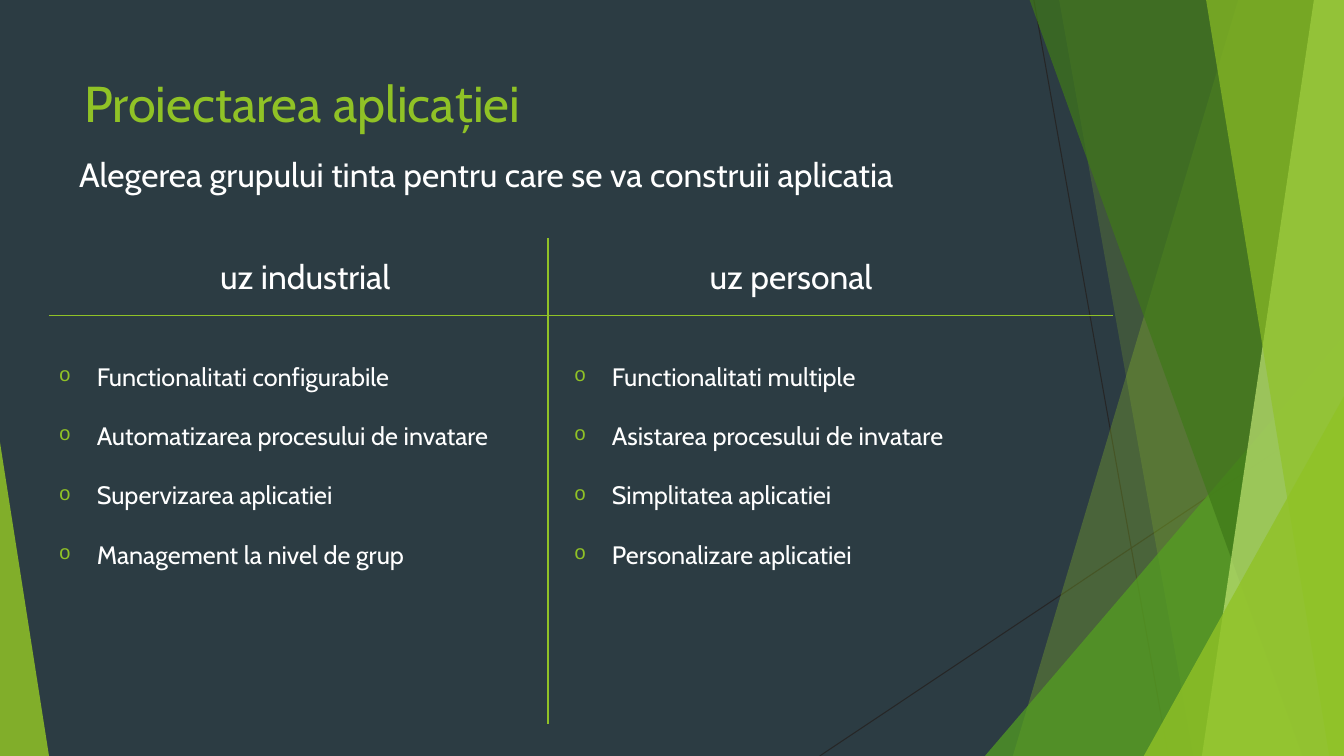
from dataclasses import dataclass

from lxml.etree import SubElement
from pptx import Presentation
from pptx.dml.color import RGBColor as RGB
from pptx.enum.shapes import MSO_CONNECTOR as Link, MSO_SHAPE as Form
from pptx.enum.text import MSO_ANCHOR as Anchor, PP_ALIGN as Align
from pptx.oxml.ns import qn
from pptx.util import Pt


@dataclass(frozen=True)
class Theme:
    back: str = "2C3C43"
    lime: str = "90C226"
    pale: str = "C0E474"
    leaf: str = "54A021"
    moss: str = "3F7819"
    ray: str = "262626"
    text: str = "FFFFFF"
    font: str = "Cabin"
    title: int = 36
    head: int = 24
    item: int = 18


T = Theme()
WIDE, HIGH = 960, 540


def tint(shape, color, alpha):
    """Fill a shape with a see-through colour, without line or shadow."""
    shape.shadow.inherit = False
    shape.line.fill.background()
    shape.fill.solid()
    shape.fill.fore_color.rgb = RGB.from_string(color)
    clr = shape._element.spPr.find(qn("a:solidFill"))[0]
    SubElement(clr, qn("a:alpha"), val=str(alpha * 1000))


def rule(slide, start, end, color, width):
    line = slide.shapes.add_connector(
        Link.STRAIGHT, *(Pt(v) for v in (*start, *end)))
    line.line.color.rgb = RGB.from_string(color)
    line.line.width = Pt(width)
    SubElement(line._element.spPr, qn("a:effectLst"))


def band(slide, box, top, foot, color, alpha):
    """Draw a band from a slanted left edge to the right side of the box."""
    x, y, w, h = box
    pen = slide.shapes.build_freeform(Pt(x + top), Pt(y), scale=1.0)
    pen.add_line_segments([(Pt(a), Pt(b)) for a, b in (
        (x + w, y), (x + w, y + h), (x + foot, y + h))])
    tint(pen.convert_to_shape(), color, alpha)


def wedge(slide, box, peak, color, alpha):
    """Draw a triangle with its tip at peak, from 0 (left) to 1 (right)."""
    shape = slide.shapes.add_shape(
        Form.ISOSCELES_TRIANGLE, *(Pt(v) for v in box))
    shape.adjustments[0] = peak
    tint(shape, color, alpha)


def facets(slide, box):
    x, y, w, h = box
    end = y + h
    rule(slide, (x + 35, y), (x + 131, end), T.ray, 0.75)
    rule(slide, (x + w, y + 290), (x - 118, end), T.ray, 0.75)
    band(slide, box, 181, 20, T.lime, 30)
    band(slide, box, 53, 149, T.lime, 20)
    wedge(slide, (x, y + 240, w, h - 240), 1, T.leaf, 72)
    band(slide, box, 32, 227, T.moss, 70)
    band(slide, box, 235, 155, T.pale, 70)
    band(slide, box, 158, 246, T.lime, 65)
    wedge(slide, (x + 113.5, y + 283, w - 113.5, h - 283), 1, T.lime, 80)


def bullet(para):
    props = para._p.get_or_add_pPr()
    props.set("marL", str(Pt(27)))
    props.set("indent", str(Pt(-27)))
    SubElement(SubElement(props, qn("a:buClr")), qn("a:srgbClr"), val=T.lime)
    SubElement(props, qn("a:buSzPct"), val="80000")
    SubElement(props, qn("a:buFont"), typeface="Courier New")
    SubElement(props, qn("a:buChar"), char="o")


def write(slide, box, lines, size, color=T.text, anchor=Anchor.TOP,
          align=Align.LEFT, before=0, listed=False):
    frame = slide.shapes.add_textbox(*(Pt(v) for v in box)).text_frame
    frame.word_wrap = True
    frame.vertical_anchor = anchor
    for i, line in enumerate(lines):
        para = frame.add_paragraph() if i else frame.paragraphs[0]
        para.alignment = align
        para.space_before = Pt(before)
        if listed:
            para.line_spacing = 1.5
            bullet(para)
        run = para.add_run()
        run.text = line
        run.font.size = Pt(size)
        run.font.name = T.font
        run.font.color.rgb = RGB.from_string(color)


def header(slide, box, title, lead):
    x, y, w, h = box
    write(slide, (x + 3.5, y, w - 25, 56), [title], T.title, T.lime)
    write(slide, (x, y + 58.5, w, h - 58.5), [lead], T.head)


def column(slide, box, shift, name, items):
    """Place a centred heading over a list that starts shift to its right."""
    x, y, w, h = box
    write(slide, (x, y, w, 45), [name], T.head,
          anchor=Anchor.BOTTOM, align=Align.CENTER, before=10)
    write(slide, (x + shift, y + 73.5, w - min(shift, 0), h - 73.5),
          items, T.item, before=10, listed=True)


def versus(slide, box, left, right):
    x, y, w, h = box
    column(slide, (x + 18, y, 330, h - 13.5), -18, *left)
    column(slide, (x + 365, y, 330, h - 13.5), 3, *right)
    rule(slide, (x + 356.5, y), (x + 356.5, y + h), T.lime, 1)
    rule(slide, (x, y + 55.5), (x + w, y + 55.5), T.lime, 1)


def main():
    deck = Presentation()
    deck.slide_width, deck.slide_height = Pt(WIDE), Pt(HIGH)
    slide = deck.slides.add_slide(deck.slide_layouts[6])
    fill = slide.background.fill
    fill.solid()
    fill.fore_color.rgb = RGB.from_string(T.back)
    facets(slide, (703.5, 0, WIDE - 703.5, HIGH))
    wedge(slide, (0, 316, 35, HIGH - 316), 0, T.lime, 85)
    header(slide, (49.5, 48, 702, 119), "Proiectarea aplicației",
           "Alegerea grupului tinta pentru care se va construii aplicatia")
    versus(slide, (35, 170, 760, 347),
           ("uz industrial", ["Functionalitati configurabile",
                              "Automatizarea procesului de invatare",
                              "Supervizarea aplicatiei",
                              "Management la nivel de grup"]),
           ("uz personal", ["Functionalitati multiple",
                            "Asistarea procesului de invatare",
                            "Simplitatea aplicatiei",
                            "Personalizare aplicatiei"]))
    deck.save("out.pptx")


if __name__ == "__main__":
    main()
